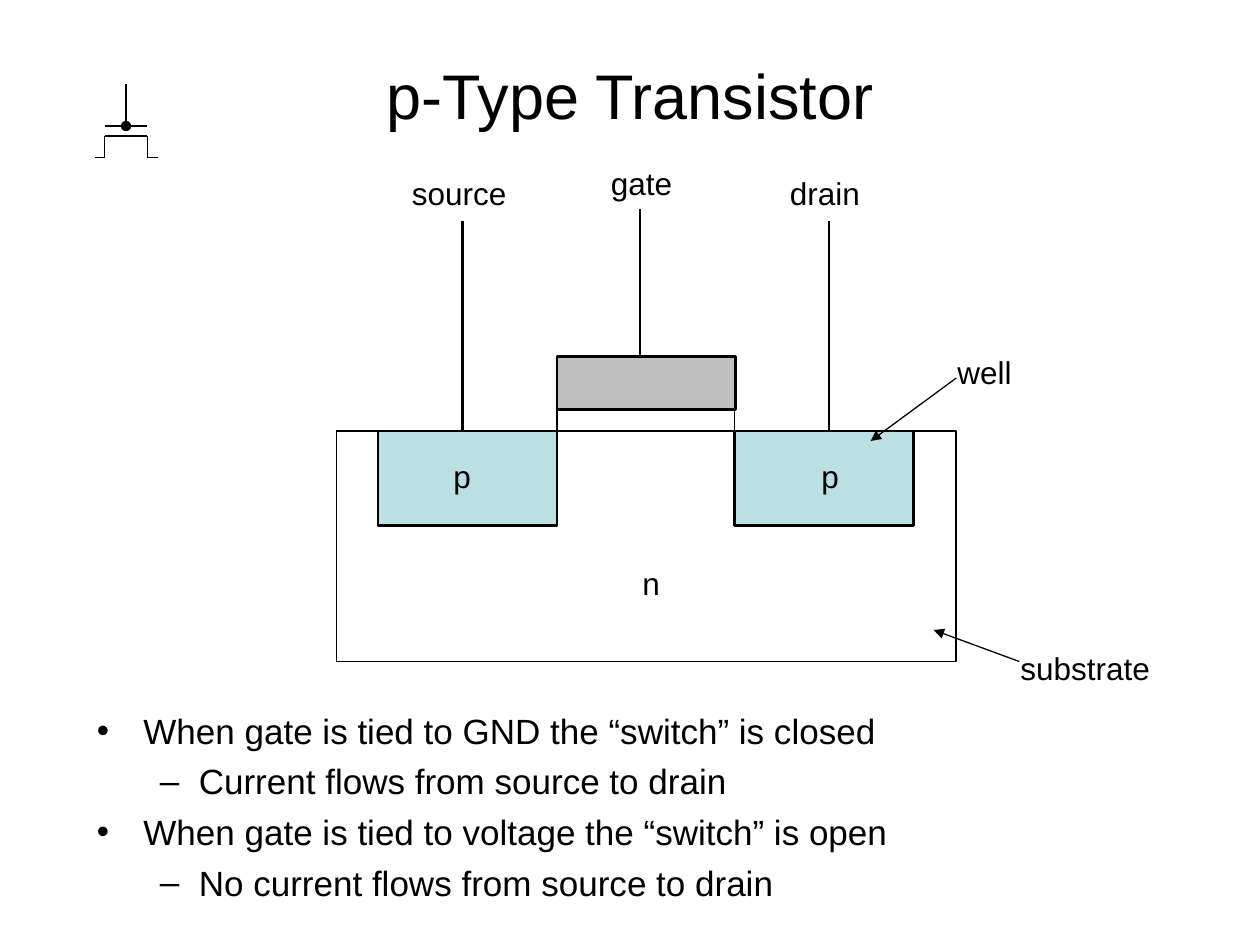
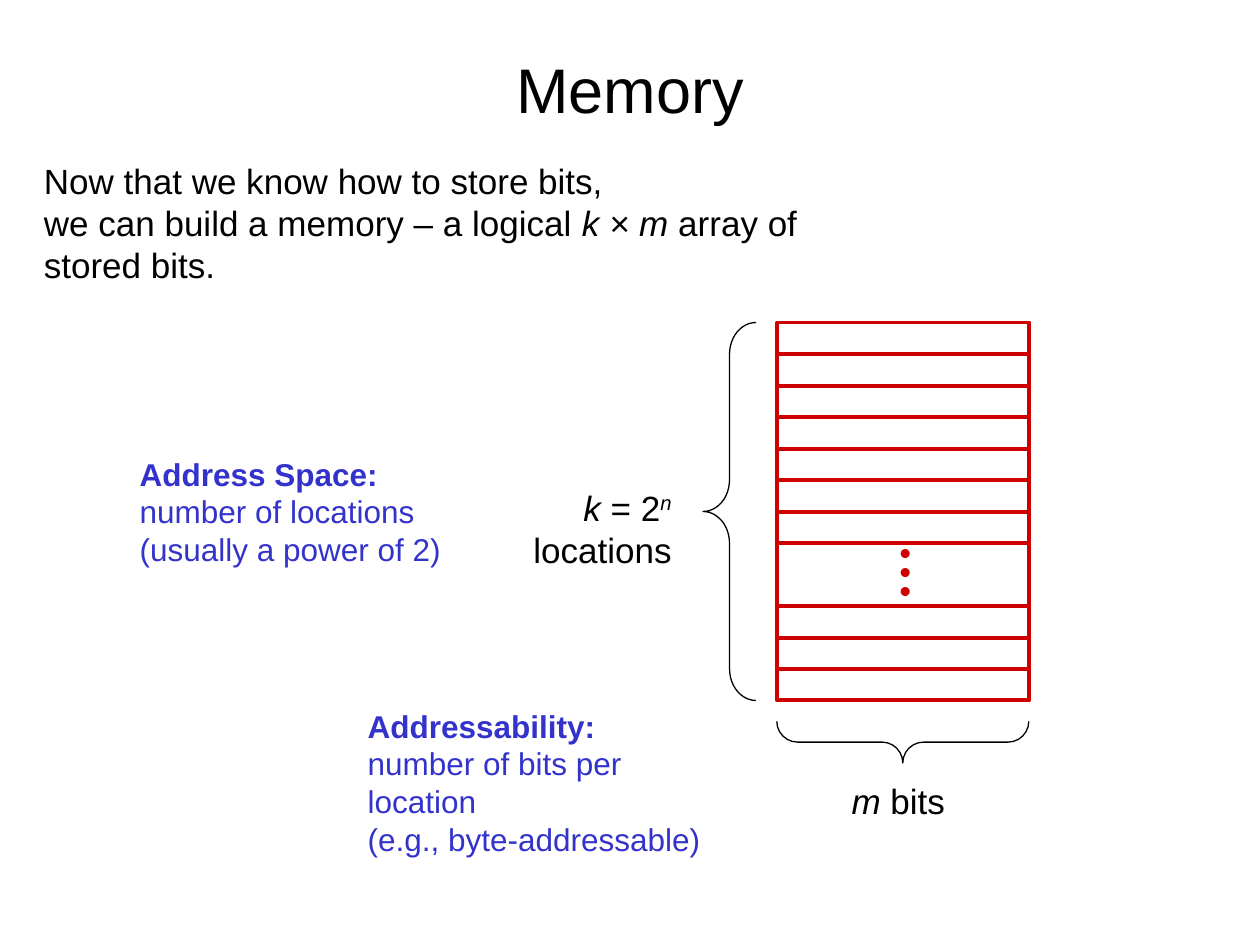
"""Build two slides: the p-type transistor and the layout of a memory."""
from lxml import etree
from pptx import Presentation
from pptx.dml.color import RGBColor
from pptx.enum.shapes import MSO_CONNECTOR, MSO_SHAPE
from pptx.enum.text import MSO_ANCHOR, PP_ALIGN
from pptx.oxml.ns import qn
from pptx.util import Inches, Pt

BLACK = RGBColor(0x00, 0x00, 0x00)
WELL = RGBColor(0xBB, 0xE0, 0xE3)
GATE = RGBColor(0xC0, 0xC0, 0xC0)
RED = RGBColor(0xCE, 0x00, 0x00)
BLUE = RGBColor(0x33, 0x33, 0xCC)


def add_text(s, box, paras, size=18, color=BLACK, align=PP_ALIGN.LEFT,
             anchor=MSO_ANCHOR.TOP, wrap=True, font="Arial"):
    tf = s.shapes.add_textbox(*map(Inches, box)).text_frame
    tf.word_wrap, tf.vertical_anchor = wrap, anchor
    for i, runs in enumerate(paras):
        p = tf.paragraphs[0] if i == 0 else tf.add_paragraph()
        p.alignment = align
        for text, style in runs:
            for j, line in enumerate(text.split("\n")):
                if j:
                    p.add_line_break()
                r = p.add_run()
                r.text = line
                r.font.name, r.font.size = font, Pt(size)
                r.font.color.rgb = color
                r.font.bold, r.font.italic = "b" in style, "i" in style
                if "^" in style:
                    r.font._element.set("baseline", "30000")
    return tf


def add_line(s, x1, y1, x2, y2, color=BLACK, width=0.75, tail=None):
    c = s.shapes.add_connector(MSO_CONNECTOR.STRAIGHT, *map(Inches, (x1, y1, x2, y2)))
    c.line.color.rgb, c.line.width = color, Pt(width)
    if tail:
        etree.SubElement(c.line._get_or_add_ln(), qn("a:tailEnd"), type=tail)
    etree.SubElement(c._element.spPr, qn("a:effectLst"))


prs = Presentation()
prs.slide_width, prs.slide_height = Inches(10), Inches(7.5)
slides = []
for title, top, height in [("p-Type Transistor", 0.25, 1), ("Memory", 0.3, 0.8)]:
    s = prs.slides.add_slide(prs.slide_layouts[6])
    add_text(s, (0.5, top, 9, height), [[(title, "")]], 36,
             align=PP_ALIGN.CENTER, anchor=MSO_ANCHOR.MIDDLE)
    slides.append(s)
transistor, memory = slides

shapes = [
    (transistor, MSO_SHAPE.RECTANGLE, (2.67, 3.42, 4.92, 1.83), None, BLACK, 1),
    (transistor, MSO_SHAPE.RECTANGLE, (3, 3.42, 1.42, 0.75), WELL, BLACK, 1.5),
    (transistor, MSO_SHAPE.RECTANGLE, (5.83, 3.42, 1.42, 0.75), WELL, BLACK, 1.5),
    (transistor, MSO_SHAPE.RECTANGLE, (4.42, 2.83, 1.42, 0.42), GATE, BLACK, 1.5),
    (memory, MSO_SHAPE.RECTANGLE, (6.17, 2.56, 2, 3), None, RED, 2.25),
    (memory, MSO_SHAPE.LEFT_BRACE, (5.58, 2.56, 0.42, 3), None, BLACK, 0.75),
    (memory, MSO_SHAPE.RIGHT_BRACE, (7, 4.89, 0.33, 2), None, BLACK, 0.75),
]
for s, kind, box, fill, color, width in shapes:
    sp = s.shapes.add_shape(kind, *map(Inches, box))
    sp.shadow.inherit = False
    if fill is None:
        sp.fill.background()
    else:
        sp.fill.solid()
        sp.fill.fore_color.rgb = fill
    sp.line.color.rgb, sp.line.width = color, Pt(width)
    if kind == MSO_SHAPE.LEFT_BRACE:
        sp.adjustments[0] = 0.6
    elif kind == MSO_SHAPE.RIGHT_BRACE:
        sp.adjustments[0] = 0.5
        sp.rotation = 90

for x, top, bottom in [(3.67, 1.75, 3.42), (6.58, 1.75, 3.42), (5.08, 1.66, 2.84)]:
    add_line(transistor, x, bottom, x, top, width=1.5)
for x in (4.42, 5.83):
    add_line(transistor, x, 3.25, x, 3.42)
add_line(transistor, 8.09, 5.25, 7.41, 5, tail="triangle")
add_line(transistor, 7.59, 3, 6.91, 3.5, tail="triangle")

labels = [
    ("substrate", 8, 5.1, 1.33), ("well", 7.5, 2.75, 0.75),
    ("p", 3.5, 3.58, 0.33), ("p", 6.42, 3.58, 0.33), ("n", 5, 4.43, 0.33),
    ("source", 3.17, 1.33, 1.08), ("drain", 6.17, 1.33, 1.08), ("gate", 4.75, 1.25, 0.83),
]
for text, x, y, width in labels:
    add_text(transistor, (x, y, width, 0.4), [[(text, "")]])

bullets = [
    (0, "When gate is tied to GND the “switch” is closed"),
    (1, "Current flows from source to drain"),
    (0, "When gate is tied to voltage the “switch” is open"),
    (1, "No current flows from source to drain"),
]
tf = add_text(transistor, (0.67, 5.58, 8.5, 1.67), [[(text, "")] for _, text in bullets], 20)
for i, (p, (level, _)) in enumerate(zip(tf.paragraphs, bullets)):
    char, margin, indent = [("•", 0.37, -0.37), ("–", 0.81, -0.31)][level]
    pPr = p._p.get_or_add_pPr()
    pPr.set("marL", str(Inches(margin)))
    pPr.set("indent", str(Inches(indent)))
    etree.SubElement(pPr, qn("a:buFont"), typeface="Arial")
    etree.SubElement(pPr, qn("a:buChar"), char=char)
    p.level = level
    if i:
        p.space_before = Pt(5)

symbol = [
    (0.83, 1.08, 1.17, 1.08), (0.83, 1, 1.17, 1),
    (0.83, 1.08, 0.83, 1.25), (1.17, 1.08, 1.17, 1.25),
    (1.17, 1.25, 1.25, 1.25), (0.75, 1.25, 0.83, 1.25),
]
for ends in symbol:
    add_line(transistor, *ends)
add_line(transistor, 1, 0.67, 1, 1, tail="oval")

add_text(memory, (0.25, 1.22, 9.5, 5.42), [[
    ("Now that we know how to store bits,\nwe can build a memory – a logical ", ""),
    ("k × m", "i"), (" array of \nstored bits.", "")]], 20)

for row in range(1, 12):
    if row != 8:
        y = 2.56 + 0.25 * row
        add_line(memory, 6.17, y, 8.17, y, RED, 2.25)
tf = add_text(memory, (7.01, 4.31, 0.35, 0.55), [[("•", "b")]] * 3, 18, RED,
              PP_ALIGN.CENTER, wrap=False, font="Courier New")
for p in tf.paragraphs:
    p.line_spacing = 0.5

add_text(memory, (4.13, 3.81, 1.3, 0.77),
         [[("k", "i"), (" = 2", ""), ("n", "i^")], [("locations", "")]], 20,
         align=PP_ALIGN.RIGHT, wrap=False)
add_text(memory, (6.66, 6.14, 0.94, 0.44), [[("m", "i"), (" bits", "")]], 20,
         align=PP_ALIGN.CENTER, wrap=False)

notes = [
    ((1.01, 3.56, 2.59, 1), "Address Space:", "number of locations\n(usually a power of 2)"),
    ((2.82, 5.56, 3.14, 1), "Addressability:",
     "number of bits per location\n(e.g., byte-addressable)"),
]
for box, term, meaning in notes:
    add_text(memory, box, [[(term, "b")], [(meaning, "")]], 18, BLUE, wrap=False)

prs.save("out.pptx")
